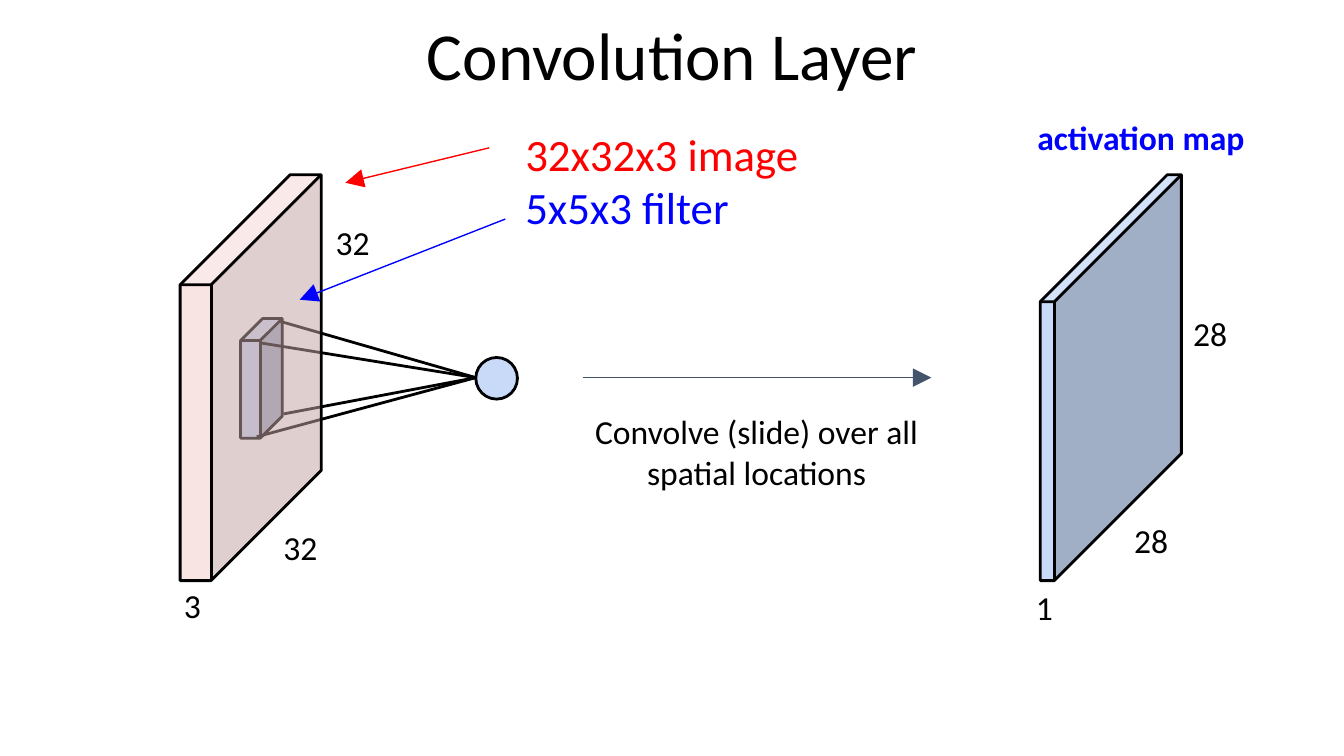
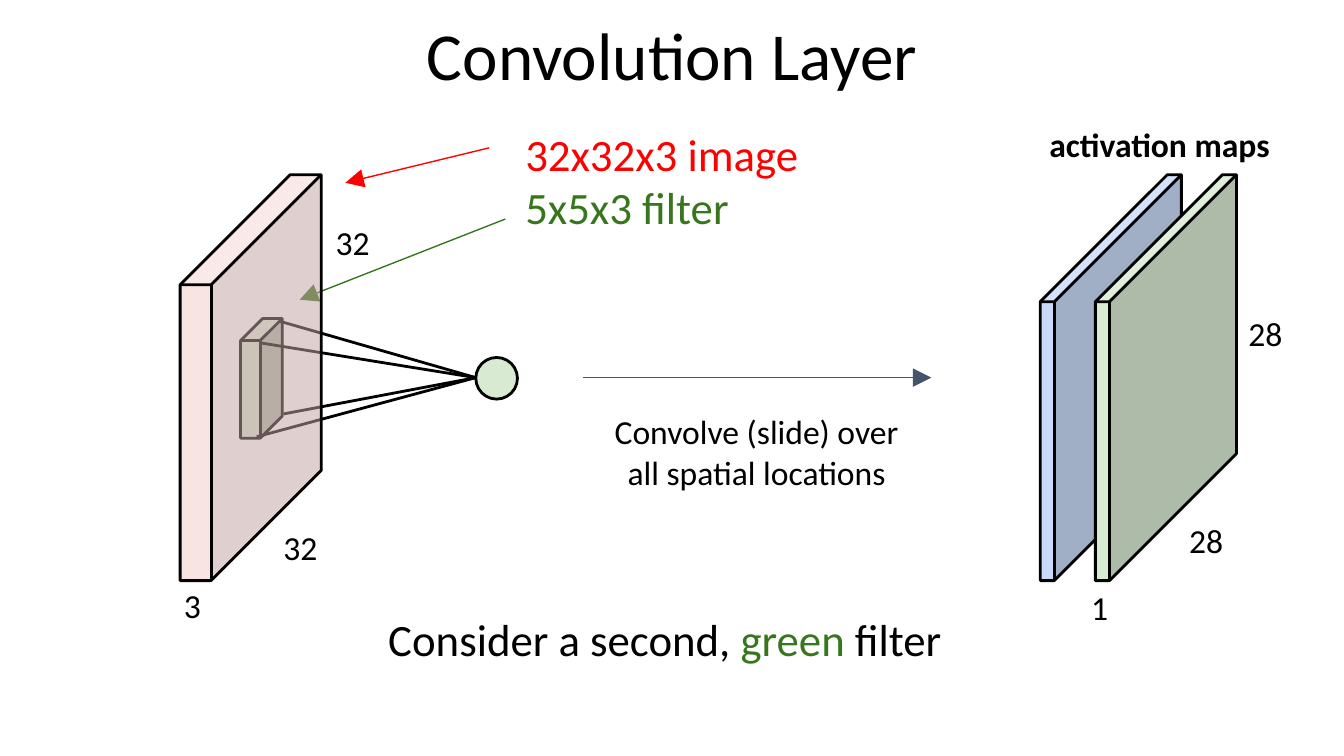
from lxml import etree
from pptx import Presentation
from pptx.dml.color import RGBColor
from pptx.enum.shapes import MSO_CONNECTOR, MSO_SHAPE
from pptx.enum.text import MSO_ANCHOR, MSO_AUTO_SIZE, PP_ALIGN
from pptx.oxml.ns import qn
from pptx.util import Inches, Pt

BLACK = RGBColor(0x00, 0x00, 0x00)
RED = RGBColor(0xFF, 0x00, 0x00)
BLUE = RGBColor(0x00, 0x00, 0xFF)
GREEN = RGBColor(0x38, 0x76, 0x1D)
SLATE = RGBColor(0x44, 0x54, 0x6A)
PALE_BLUE = RGBColor(0xC9, 0xDA, 0xF8)
PALE_GREEN = RGBColor(0xD9, 0xEA, 0xD3)
PALE_RED = RGBColor(0xF4, 0xCC, 0xCC)

FONT = "Calibri"
TITLE_SIZE, CALLOUT_SIZE, LABEL_SIZE = 36, 24, 18
OUTLINE, ARROW = 1.5, 0.75
INSET = 0.1
VOLUME_TOP, VOLUME_WIDTH, VOLUME_HEIGHT = 1.3, 1.05, 3.02
FIRST_MAP, SECOND_MAP = 7.74, 8.15
NEURON_LEFT, AXIS = 3.54, 2.81
FILTER_CORNERS = [(1.91, 3.25), (1.93, 2.55), (2.08, 2.39), (2.11, 3.08)]


def fill_text(frame, paragraphs, size, align=PP_ALIGN.LEFT, bold=False):
    """Write paragraphs, each a list of (text, colour) runs, into a frame."""
    frame.word_wrap = True
    frame.auto_size = MSO_AUTO_SIZE.NONE
    frame.vertical_anchor = MSO_ANCHOR.TOP
    frame.margin_left = frame.margin_right = Inches(INSET)
    frame.margin_top = frame.margin_bottom = Inches(INSET)
    for index, runs in enumerate(paragraphs):
        paragraph = frame.add_paragraph() if index else frame.paragraphs[0]
        paragraph.alignment = align
        for text, color in runs:
            run = paragraph.add_run()
            run.text = text
            run.font.name = FONT
            run.font.size = Pt(size)
            run.font.bold = bold
            run.font.color.rgb = color


def add_text(slide, left, top, width, height, paragraphs, size=LABEL_SIZE, **style):
    """Add a text box."""
    box = slide.shapes.add_textbox(
        Inches(left), Inches(top), Inches(width), Inches(height)
    )
    fill_text(box.text_frame, paragraphs, size, **style)


def add_dimension(slide, left, top, value):
    """Label one side of a volume with its length."""
    add_text(slide, left, top, 0.54, 0.34, [[(value, BLACK)]])


def add_solid(slide, kind, left, top, width, height, fill, depth=None, opacity=None):
    """Add an outlined cube or circle, with cube depth and opacity in percent."""
    solid = slide.shapes.add_shape(
        kind, Inches(left), Inches(top), Inches(width), Inches(height)
    )
    solid.shadow.inherit = False
    solid.fill.solid()
    solid.fill.fore_color.rgb = fill
    solid.line.color.rgb = BLACK
    solid.line.width = Pt(OUTLINE)
    if depth is not None:
        solid.adjustments[0] = depth
    if opacity is not None:
        color = solid._element.spPr.find(qn("a:solidFill"))[0]
        etree.SubElement(color, qn("a:alpha")).set("val", str(opacity * 1000))


def add_line(slide, start, end, color, width, arrow=False):
    """Draw a straight line, with a large arrowhead at its end if asked."""
    line = slide.shapes.add_connector(
        MSO_CONNECTOR.STRAIGHT, *(Inches(value) for value in (*start, *end))
    )
    line.line.color.rgb = color
    line.line.width = Pt(width)
    properties = line._element.spPr
    if arrow:
        outline = properties.find(qn("a:ln"))
        etree.SubElement(outline, qn("a:tailEnd"), type="triangle", w="lg", len="lg")
    etree.SubElement(properties, qn("a:effectLst"))


def add_filter(slide, fill):
    """Draw the filter and the neuron it feeds."""
    add_solid(slide, MSO_SHAPE.CUBE, 1.79, 2.37, 0.31, 0.89, fill, depth=0.53)
    add_solid(slide, MSO_SHAPE.OVAL, NEURON_LEFT, 2.66, 0.31, 0.31, fill)
    for corner in FILTER_CORNERS:
        add_line(slide, corner, (NEURON_LEFT, AXIS), BLACK, OUTLINE)


def add_volume(slide, left, fill, depth, opacity=None):
    """Draw a full-height input volume or activation map."""
    add_solid(slide, MSO_SHAPE.CUBE, left, VOLUME_TOP, VOLUME_WIDTH, VOLUME_HEIGHT,
              fill, depth, opacity)


def add_input(slide):
    """Draw the translucent input image."""
    add_volume(slide, 1.34, PALE_RED, 0.78, opacity=52)


def add_input_dimensions(slide):
    """Label the sides of the input image."""
    for left, top, value in [(2.01, 3.82, "32"), (2.4, 1.55, "32"), (1.27, 4.25, "3")]:
        add_dimension(slide, left, top, value)


def add_callouts(slide, filter_color):
    """Name the image and the filter, and point at each."""
    names = [[("32x32x3 image", RED)], [("5x5x3 filter", filter_color)]]
    add_text(slide, 3.81, 0.84, 3.98, 0.6, names, CALLOUT_SIZE)
    add_line(slide, (3.64, 1.1), (2.57, 1.36), RED, ARROW, arrow=True)
    add_line(slide, (3.76, 1.63), (2.23, 2.23), filter_color, ARROW, arrow=True)


def add_convolve_step(slide, lines):
    """Draw the arrow to the activation maps and its caption."""
    add_line(slide, (4.34, AXIS), (6.93, AXIS), SLATE, ARROW, arrow=True)
    caption = [[(line, BLACK)] for line in lines]
    add_text(slide, 4.2, 2.96, 2.86, 0.89, caption, align=PP_ALIGN.CENTER)


def add_map(slide, left, fill):
    """Draw one activation map."""
    add_volume(slide, left, fill, 0.9)


def add_map_dimensions(slide, left):
    """Label the sides of the activation map that starts at left."""
    add_dimension(slide, left - 0.13, 4.27, "1")
    add_dimension(slide, left + 0.6, 3.77, "28")
    add_dimension(slide, left + 1.04, 2.23, "28")


def add_titled_slide(deck):
    """Add a slide with the shared title."""
    slide = deck.slides.add_slide(deck.slide_layouts[5])
    title = slide.shapes.title
    title.left = title.top = Inches(0)
    title.width, title.height = deck.slide_width, Inches(0.72)
    fill_text(title.text_frame, [[("Convolution Layer", BLACK)]], TITLE_SIZE,
              PP_ALIGN.CENTER)
    return slide


def build_first_filter(deck):
    """Show the blue filter and its activation map."""
    slide = add_titled_slide(deck)
    add_filter(slide, PALE_BLUE)
    add_input_dimensions(slide)
    add_input(slide)
    add_callouts(slide, BLUE)
    add_convolve_step(slide, ["Convolve (slide) over all spatial locations"])
    add_map(slide, FIRST_MAP, PALE_BLUE)
    add_text(slide, 7.62, 0.77, 1.97, 0.45, [[("activation map", BLUE)]], bold=True)
    add_map_dimensions(slide, FIRST_MAP)


def build_second_filter(deck):
    """Show the green filter and both activation maps."""
    slide = add_titled_slide(deck)
    add_map(slide, FIRST_MAP, PALE_BLUE)
    add_filter(slide, PALE_GREEN)
    add_input_dimensions(slide)
    add_callouts(slide, GREEN)
    add_convolve_step(slide, ["Convolve (slide) over", "all spatial locations"])
    add_map(slide, SECOND_MAP, PALE_GREEN)
    add_text(slide, 7.71, 0.82, 2.26, 0.59, [[("activation maps", BLACK)]], bold=True)
    add_map_dimensions(slide, SECOND_MAP)
    add_input(slide)
    prompt = [("Consider a second, ", BLACK), ("green ", GREEN), ("filter", BLACK)]
    add_text(slide, 2.79, 4.45, 4.99, 0.59, [prompt], CALLOUT_SIZE)


def main():
    """Build and save the deck."""
    deck = Presentation()
    deck.slide_width = Inches(10)
    deck.slide_height = deck.slide_width * 9 // 16
    build_first_filter(deck)
    build_second_filter(deck)
    deck.save("out.pptx")


if __name__ == "__main__":
    main()
